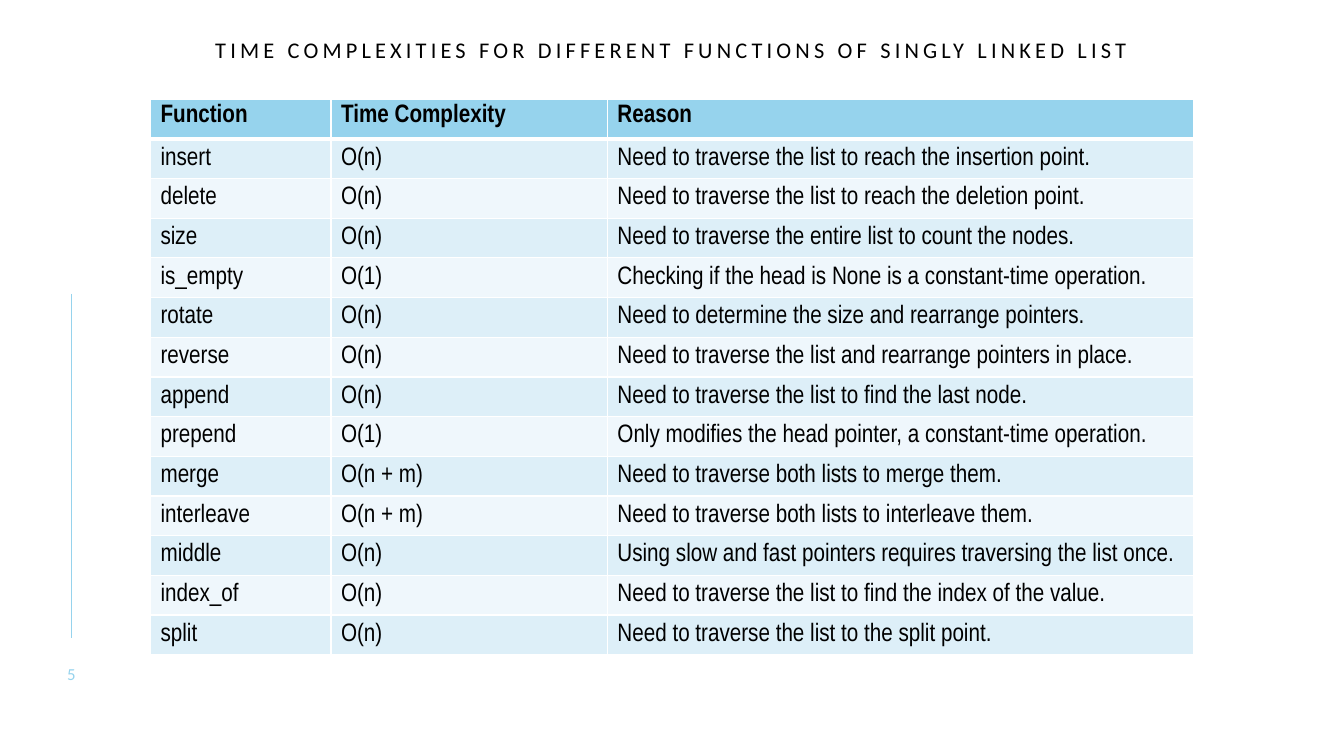
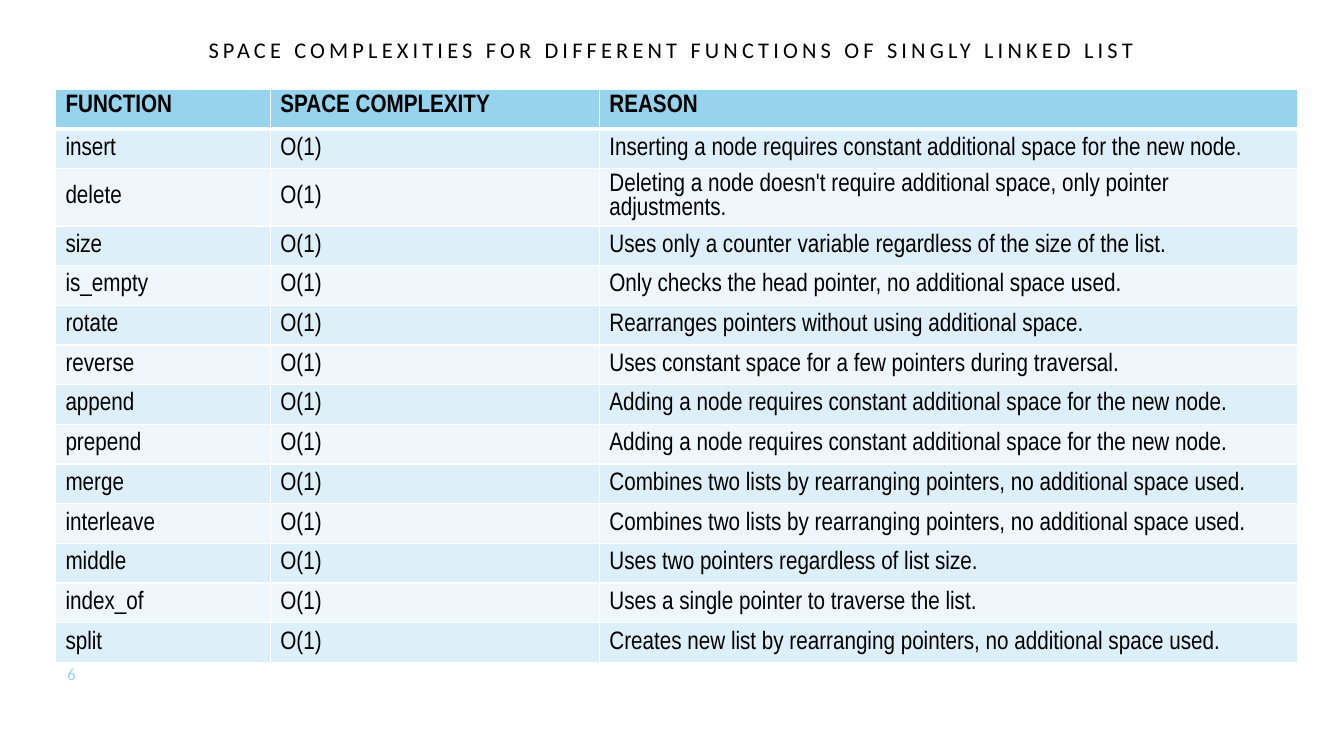
"""Build two slides of singly linked list complexities, each with a styled table."""
from dataclasses import dataclass

from pptx import Presentation, util as u
from pptx.dml import color as c
from pptx.enum import shapes, text
from pptx.oxml import xmlchemy as x


@dataclass(frozen=True)
class Theme:
    accent: str = "96D3ED"
    bands: tuple = ("DDEFF8", "EFF7FC")
    ink: str = "000000"
    paper: str = "FFFFFF"
    heading_font: str = "Calibri"
    table_font: str = "Arial Narrow"
    title_size: float = 16
    table_size: float = 18
    number_size: float = 12
    thin: float = 1
    thick: float = 3
    row_height: float = 28.35
    column_shares: tuple = (0.173, 0.265, 0.562)


def assign(target, values):
    for name, value in values.items():
        setattr(target, name, value)


class Deck:
    def __init__(self, theme):
        self.theme = theme
        self.presentation = Presentation()
        assign(self.presentation, {"slide_width": u.Pt(960), "slide_height": u.Pt(540)})
        self.layout = self.presentation.slide_layouts.get_by_name("Title Only")
        self.slide = None

    def add_slide(self):
        self.slide = self.presentation.slides.add_slide(self.layout)

    def place(self, shape, left, top, width, height):
        names = ("left", "top", "width", "height")
        assign(shape, dict(zip(names, map(u.Pt, (left, top, width, height)))))

    def add_words(self, frame, words, font, size, color, bold=False, spacing=0):
        paragraph = frame.paragraphs[0]
        run = paragraph.add_run()
        run.text = words
        assign(run.font, {"name": font, "size": u.Pt(size), "bold": bold})
        run.font.color.rgb = c.RGBColor.from_string(color)
        if spacing:
            run._r.get_or_add_rPr().set("spc", str(spacing * 100))
        return paragraph

    def heading(self, shape, words, size, color, anchor, spacing):
        frame = shape.text_frame
        assign(frame, {
            "margin_left": 0, "margin_top": 0, "margin_right": 0, "margin_bottom": 0,
            "word_wrap": True, "auto_size": text.MSO_AUTO_SIZE.NONE,
            "vertical_anchor": anchor,
        })
        paragraph = self.add_words(frame, words, self.theme.heading_font, size, color,
                                   spacing=spacing)
        paragraph.alignment = text.PP_ALIGN.CENTER
        return paragraph

    def title(self, words):
        shape = self.slide.shapes.title
        self.place(shape, 92, 28, 775.5, 32.5)
        paragraph = self.heading(shape, words, self.theme.title_size, self.theme.ink,
                                 text.MSO_ANCHOR.TOP, 3)
        paragraph.line_spacing = 0.9

    def number(self, value):
        shape = self.slide.shapes.add_textbox(u.Pt(33), u.Pt(474), u.Pt(36), u.Pt(14.5))
        self.heading(shape, str(value), self.theme.number_size, self.theme.accent,
                     text.MSO_ANCHOR.MIDDLE, 2)

    def layout_rule(self, left, top, bottom):
        connector = self.slide.shapes.add_connector(
            shapes.MSO_CONNECTOR.STRAIGHT, u.Pt(left), u.Pt(top), u.Pt(left), u.Pt(bottom))
        connector.line.width = u.Pt(self.theme.thin)
        connector.line.color.rgb = c.RGBColor.from_string(self.theme.accent)
        connector.element.spPr.append(x.OxmlElement("a:effectLst"))
        self.layout.shapes.element.append(connector.element)

    def borders(self, cell, top, bottom):
        properties = cell._tc.get_or_add_tcPr()
        sides = {"L": self.theme.thin, "R": self.theme.thin, "T": top, "B": bottom}
        for index, (side, width) in enumerate(sides.items()):
            line = x.OxmlElement(f"a:ln{side}")
            line.set("w", str(int(u.Pt(width))))
            fill = x.OxmlElement("a:solidFill")
            color = x.OxmlElement("a:srgbClr")
            color.set("val", self.theme.paper)
            fill.append(color)
            line.append(fill)
            properties.insert(index, line)

    def cell(self, cell, words, row):
        theme = self.theme
        header = row == 0
        fill = theme.accent if header else theme.bands[(row - 1) % 2]
        cell.fill.solid()
        cell.fill.fore_color.rgb = c.RGBColor.from_string(fill)
        cell.vertical_anchor = text.MSO_ANCHOR.TOP if header else text.MSO_ANCHOR.MIDDLE
        self.add_words(cell.text_frame, words, theme.table_font, theme.table_size,
                       theme.ink, bold=header)
        self.borders(cell, theme.thick if row == 1 else theme.thin,
                     theme.thick if header else theme.thin)

    def table(self, rows, left, top, width):
        theme = self.theme
        table = self.slide.shapes.add_table(
            len(rows), len(rows[0]), u.Pt(left), u.Pt(top), u.Pt(width),
            u.Pt(theme.row_height * len(rows))).table
        for column, share in zip(table.columns, theme.column_shares):
            column.width = u.Pt(width * share)
        for index, values in enumerate(rows):
            table.rows[index].height = u.Pt(theme.row_height)
            for column, words in enumerate(values):
                self.cell(table.cell(index, column), words, index)


TIME_ROWS = [
    ("Function", "Time Complexity", "Reason"),
    ("insert", "O(n)", "Need to traverse the list to reach the insertion point."),
    ("delete", "O(n)", "Need to traverse the list to reach the deletion point."),
    ("size", "O(n)", "Need to traverse the entire list to count the nodes."),
    ("is_empty", "O(1)", "Checking if the head is None is a constant-time operation."),
    ("rotate", "O(n)", "Need to determine the size and rearrange pointers."),
    ("reverse", "O(n)", "Need to traverse the list and rearrange pointers in place."),
    ("append", "O(n)", "Need to traverse the list to find the last node."),
    ("prepend", "O(1)", "Only modifies the head pointer, a constant-time operation."),
    ("merge", "O(n + m)", "Need to traverse both lists to merge them."),
    ("interleave", "O(n + m)", "Need to traverse both lists to interleave them."),
    ("middle", "O(n)", "Using slow and fast pointers requires traversing the list once."),
    ("index_of", "O(n)", "Need to traverse the list to find the index of the value."),
    ("split", "O(n)", "Need to traverse the list to the split point."),
]

SPACE_REASONS = {
    "insert": "Inserting a node requires constant additional space for the new node.",
    "delete": "Deleting a node doesn't require additional space, only pointer adjustments.",
    "size": "Uses only a counter variable regardless of the size of the list.",
    "is_empty": "Only checks the head pointer, no additional space used.",
    "rotate": "Rearranges pointers without using additional space.",
    "reverse": "Uses constant space for a few pointers during traversal.",
    "append": "Adding a node requires constant additional space for the new node.",
    "prepend": "Adding a node requires constant additional space for the new node.",
    "merge": "Combines two lists by rearranging pointers, no additional space used.",
    "interleave": "Combines two lists by rearranging pointers, no additional space used.",
    "middle": "Uses two pointers regardless of list size.",
    "index_of": "Uses a single pointer to traverse the list.",
    "split": "Creates new list by rearranging pointers, no additional space used.",
}

SPACE_ROWS = [("FUNCTION", "SPACE COMPLEXITY", "REASON")] + [
    (function, "O(1)", reason) for function, reason in SPACE_REASONS.items()]

SLIDES = [
    ("TIME", TIME_ROWS, (107.5, 70.8, 745.2)),
    ("SPACE", SPACE_ROWS, (39.6, 63.6, 887)),
]


def main():
    deck = Deck(Theme())
    for number, (measure, rows, position) in enumerate(SLIDES, start=5):
        deck.add_slide()
        deck.title(f"{measure} COMPLEXITIES FOR DIFFERENT FUNCTIONS OF SINGLY LINKED LIST")
        deck.table(rows, *position)
        deck.number(number)
    deck.layout_rule(51, 210, 456)
    deck.presentation.save("out.pptx")


if __name__ == "__main__":
    main()
